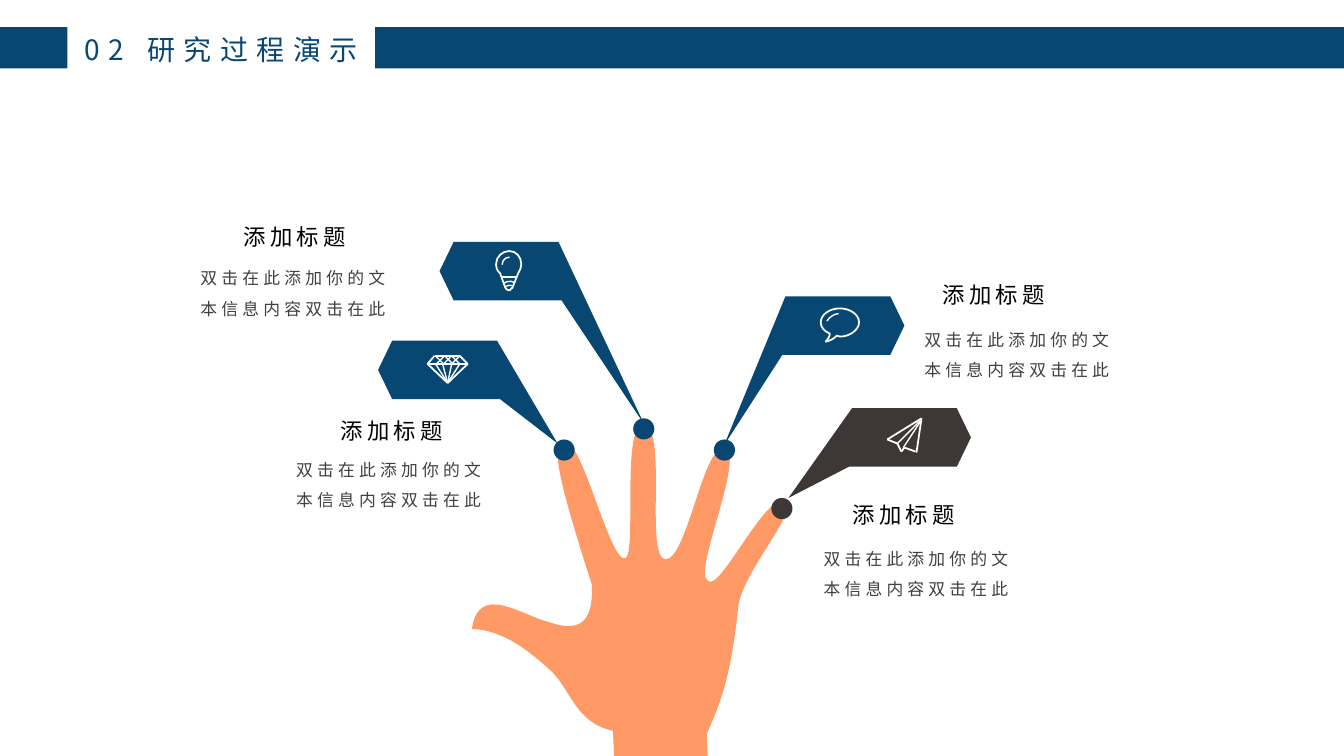
from dataclasses import dataclass

import lxml.etree
import pptx
import pptx.dml.color
import pptx.enum.shapes
import pptx.enum.text
import pptx.oxml.ns
import pptx.util

Inches = pptx.util.Inches
Shape = pptx.enum.shapes.MSO_SHAPE
qn = pptx.oxml.ns.qn
Point = tuple[float, float]
Segment = tuple[Point, ...]

FONT = "Noto Sans CJK SC"
COLORS = {"navy": "084772", "charcoal": "3D3836", "skin": "FF9966",
          "white": "FFFFFF", "heading": "000000", "body": "404040"}
HEADING = "添加标题"
BODY = "双击在此添加你的文本信息内容双击在此"
DOT = 0.21


@dataclass
class Callout:
    tip: Point
    corner: Point
    direction: int
    dot: Point
    heading: Point
    body: Point
    color: str = "navy"


@dataclass
class Arc:
    left: float
    top: float
    size: float
    rotation: float
    end: float
    start: float = 162


@dataclass
class Icon:
    outline: list[Segment]
    arcs: list[Arc]
    bold: list[Segment]
    thin: list[Segment]


CALLOUTS = [
    Callout((5.53, 4.4), (3.75, 3.67), 1, (5.49, 4.36), (3.28, 4.09), (2.84, 4.41)),
    Callout((6.39, 4.21), (4.36, 2.69), 1, (6.28, 4.15), (2.32, 2.16), (1.89, 2.51)),
    Callout((7.18, 4.42), (8.97, 3.23), -1, (7.08, 4.36), (9.25, 2.74), (9.07, 3.12)),
    Callout((7.82, 4.94), (9.63, 4.34), -1, (7.65, 4.94), (8.36, 4.92), (8.07, 5.29),
            "charcoal"),
]

HAND: list[Segment] = [
    ((6.09, 7.51),), ((6.08, 7.25),),
    ((5.71, 7.17), (5.67, 6.86), (5.47, 6.66)), ((5.26, 6.47), (5, 6.25), (4.68, 6.24)),
    ((4.75, 5.78), (5.16, 6.1), (5.44, 6.17)), ((5.83, 6.31), (5.88, 6.07), (5.87, 5.8)),
    ((5.45, 4.49), (5.5, 4.44), (5.61, 4.4)), ((5.77, 4.35), (6.05, 5.58), (6.2, 5.54)),
    ((6.32, 5.51), (6.16, 4.21), (6.38, 4.22)), ((6.63, 4.22), (6.39, 5.53), (6.6, 5.55)),
    ((6.82, 5.55), (6.98, 4.36), (7.2, 4.45)), ((7.38, 4.55), (6.87, 5.69), (7.02, 5.76)),
    ((7.13, 5.9), (7.61, 4.85), (7.79, 4.98)), ((7.93, 5.07), (7.34, 5.7), (7.32, 6.04)),
    ((7.25, 6.72), (7.14, 6.99), (7.01, 7.28)), ((7.02, 7.52),),
]

SPEECH = Icon(
    [((8.33, 3.06),), ((8.43, 3.06), (8.52, 3.12), (8.52, 3.2)),
     ((8.52, 3.27), (8.43, 3.34), (8.33, 3.34)), ((8.3, 3.33),),
     ((8.27, 3.36), (8.24, 3.38), (8.19, 3.39)), ((8.2, 3.37), (8.23, 3.35), (8.23, 3.31)),
     ((8.18, 3.29), (8.14, 3.25), (8.14, 3.2)), ((8.14, 3.12), (8.23, 3.06), (8.33, 3.06))],
    [Arc(8.18, 3.11, 0.31, 301.2, 193.58)], [], [])

DIAMOND = Icon(
    [], [],
    [((4.31, 3.53), (4.56, 3.53), (4.64, 3.61), (4.44, 3.8), (4.24, 3.61), (4.31, 3.53))],
    [((4.25, 3.61), (4.63, 3.61))]
    + [((4.44, 3.8), (x, 3.61)) for x in (4.32, 4.39, 4.48, 4.56)]
    + [((x, 3.53), (x + 0.08, 3.61)) for x in (4.32, 4.41, 4.48)]
    + [((x, 3.53), (x - 0.08, 3.61)) for x in (4.41, 4.48, 4.56)])

PLANE = Icon(
    [], [],
    [((9.14, 4.15), (8.8, 4.36), (8.9, 4.4), (8.94, 4.48), (8.97, 4.44), (9.08, 4.48)),
     ((9.14, 4.15), (9.09, 4.49))],
    [((9.13, 4.17), (8.9, 4.4)), ((9.13, 4.18), (8.96, 4.44))])

BULB = Icon(
    [((5.05, 2.49),), ((5.12, 2.49), (5.17, 2.55), (5.17, 2.62)),
     ((5.17, 2.65), (5.16, 2.68), (5.14, 2.71)), ((5.08, 2.86),), ((5.07, 2.86),),
     ((5.07, 2.87), (5.06, 2.88), (5.05, 2.88)), ((5.03, 2.88), (5.02, 2.87), (5.01, 2.85)),
     ((4.96, 2.71),), ((4.93, 2.69), (4.92, 2.65), (4.92, 2.62)),
     ((4.92, 2.55), (4.98, 2.49), (5.05, 2.49))],
    [Arc(4.98, 2.55, 0.15, 270, 215.5), Arc(4.97, 2.79, 0.17, 309, 210.6, 168.25),
     Arc(4.98, 2.83, 0.15, 300, 210.13, 175.25)],
    [((4.97, 2.75), (5.12, 2.75))], [])


def rgb(color: str) -> pptx.dml.color.RGBColor:
    return pptx.dml.color.RGBColor.from_string(COLORS[color])


def paint(shape, color: str) -> None:
    shape.shadow.inherit = False
    shape.fill.solid()
    shape.fill.fore_color.rgb = rgb(color)
    shape.line.fill.background()


def stroke(shape, width: float) -> None:
    shape.line.color.rgb = rgb("white")
    shape.line.width = pptx.util.Pt(width)


def draw_outline(shapes, segments: list[Segment]):
    corners = [(Inches(x), Inches(y)) for x, y in (segment[-1] for segment in segments)]
    builder = shapes.build_freeform(*corners[0])
    builder.add_line_segments(corners[1:], close=True)
    outline = builder.convert_to_shape()
    edges = list(outline._element.iter(qn("a:lnTo")))
    for edge, segment in zip(edges, segments[1:]):
        if len(segment) == 3:
            curve = lxml.etree.Element(qn("a:cubicBezTo"))
            for x, y in segment:
                point = lxml.etree.SubElement(curve, qn("a:pt"))
                point.set("x", str(Inches(x) - outline.left))
                point.set("y", str(Inches(y) - outline.top))
            edge.getparent().replace(edge, curve)
    return outline


def draw_shape(shapes, kind, left: float, top: float, width: float, height: float):
    return shapes.add_shape(kind, Inches(left), Inches(top), Inches(width), Inches(height))


def draw_lines(shapes, points: Segment, width: float) -> None:
    for start, end in zip(points, points[1:]):
        line = shapes.add_connector(pptx.enum.shapes.MSO_CONNECTOR.STRAIGHT,
                                    *map(Inches, (*start, *end)))
        stroke(line, width)
        lxml.etree.SubElement(line._element.spPr, qn("a:effectLst"))


def draw_icon(page, icon: Icon) -> None:
    shapes = page.shapes.add_group_shape().shapes
    if icon.outline:
        outline = draw_outline(shapes, icon.outline)
        outline.shadow.inherit = False
        outline.fill.background()
        stroke(outline, 1.25)
    for arc in icon.arcs:
        curve = draw_shape(shapes, Shape.ARC, arc.left, arc.top, arc.size, arc.size)
        curve.adjustments[0] = arc.start
        curve.adjustments[1] = arc.end
        curve.rotation = arc.rotation
        curve.shadow.inherit = False
        curve.fill.background()
        stroke(curve, 1)
    for points in icon.bold:
        draw_lines(shapes, points, 1.25)
    for points in icon.thin:
        draw_lines(shapes, points, 1)


def write(box, text: str, size: float, color: str, spacing: float, wrap: bool):
    frame = box.text_frame
    frame.word_wrap = wrap
    frame.auto_size = pptx.enum.text.MSO_AUTO_SIZE.SHAPE_TO_FIT_TEXT
    frame.vertical_anchor = pptx.enum.text.MSO_ANCHOR.TOP
    para = frame.paragraphs[0]
    span = para.add_run()
    span.text = text
    span.font.size = pptx.util.Pt(size)
    span.font.name = FONT
    span.font.color.rgb = rgb(color)
    properties = span._r.get_or_add_rPr()
    properties.set("spc", str(int(spacing * 100)))
    lxml.etree.SubElement(properties, qn("a:ea")).set("typeface", FONT)
    return para


def draw_banner(page, callout: Callout) -> None:
    x, y = callout.corner
    offsets = ((1.18, -0.29), (0.14, -0.29), (0, 0), (0.14, 0.29), (1.21, 0.29))
    banner = [((x + callout.direction * dx, y + dy),) for dx, dy in offsets]
    paint(draw_outline(page.shapes, [(callout.tip,), *banner]), callout.color)


def draw_caption(page, callout: Callout) -> None:
    heading = page.shapes.add_textbox(*map(Inches, (*callout.heading, 1.27, 0.37)))
    write(heading, HEADING, 16, "heading", 3, False)
    body = page.shapes.add_textbox(*map(Inches, (*callout.body, 2.23, 0.71)))
    write(body, BODY, 12, "body", 3, True).line_spacing = 1.5


def draw_header(page) -> None:
    for left, width in ((0, 0.67), (3.72, 9.61)):
        paint(draw_shape(page.shapes, Shape.RECTANGLE, left, 0.27, width, 0.41), "navy")
    title = page.shapes.title
    title.left, title.top, title.width, title.height = map(Inches, (0.67, 0.27, 3.05, 0.44))
    para = write(title, "02 研究过程演示", 20, "navy", 6, False)
    para.alignment = pptx.enum.text.PP_ALIGN.RIGHT
    title.text_frame.margin_right = Inches(0.17)


def main() -> None:
    deck = pptx.Presentation()
    deck.slide_width, deck.slide_height = Inches(13.33), Inches(7.5)
    page = deck.slides.add_slide(deck.slide_layouts[5])
    draw_header(page)
    paint(draw_outline(page.shapes, HAND), "skin")
    for callout in CALLOUTS:
        draw_banner(page, callout)
    for callout in CALLOUTS:
        paint(draw_shape(page.shapes, Shape.OVAL, *callout.dot, DOT, DOT), callout.color)
    for callout in CALLOUTS:
        draw_caption(page, callout)
    for icon in (SPEECH, DIAMOND, PLANE, BULB):
        draw_icon(page, icon)
    deck.save("out.pptx")


if __name__ == "__main__":
    main()
